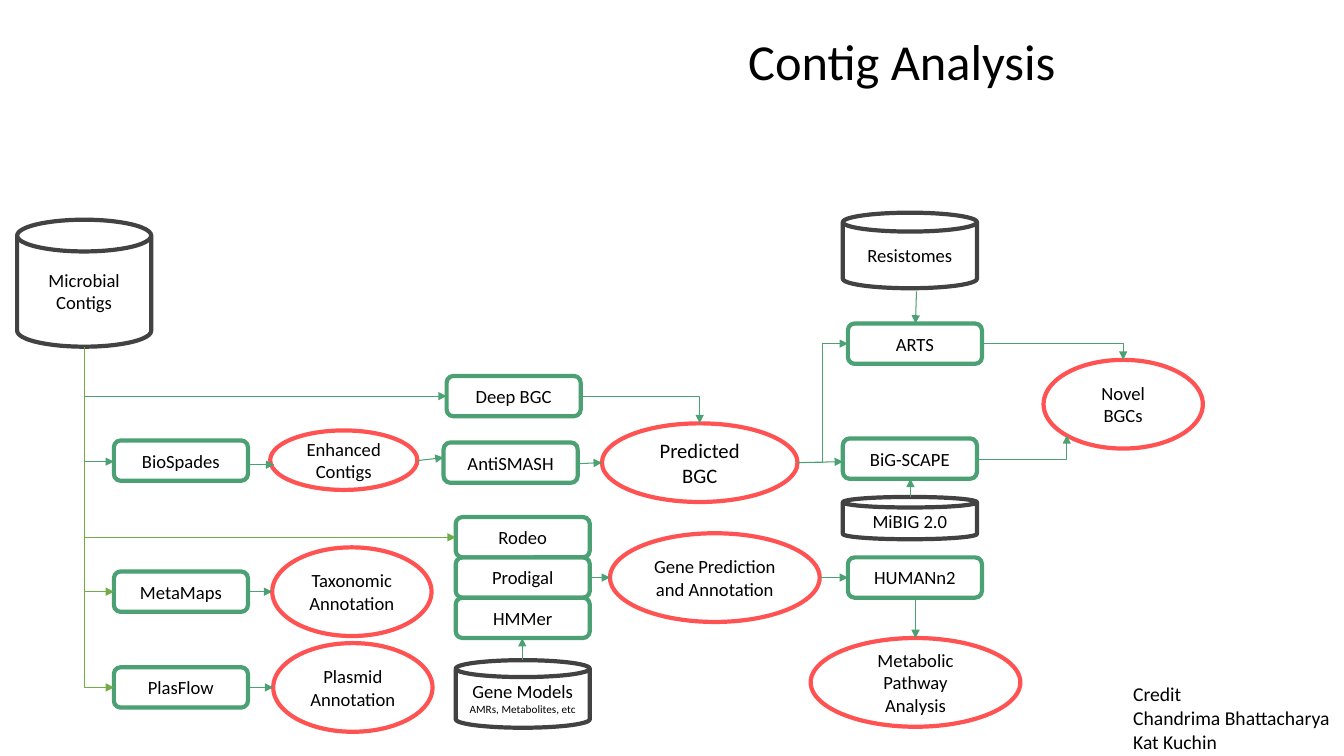
from dataclasses import dataclass

from lxml import etree
from pptx import Presentation
from pptx.dml.color import RGBColor
from pptx.enum.shapes import MSO_CONNECTOR, MSO_SHAPE
from pptx.enum.text import MSO_ANCHOR, MSO_AUTO_SIZE, PP_ALIGN
from pptx.oxml.ns import qn
from pptx.util import Pt

PX = 9144
CAN, ELLIPSE, ROUND = MSO_SHAPE.CAN, MSO_SHAPE.OVAL, MSO_SHAPE.ROUNDED_RECTANGLE
STRAIGHT, ELBOW = MSO_CONNECTOR.STRAIGHT, MSO_CONNECTOR.ELBOW
TOP, MIDDLE = MSO_ANCHOR.TOP, MSO_ANCHOR.MIDDLE
LEFT, CENTER = PP_ALIGN.LEFT, PP_ALIGN.CENTER
NO_FIT = MSO_AUTO_SIZE.NONE


@dataclass(frozen=True)
class Theme:
    font: str = "Calibri"
    text: str = "000000"
    data: str = "424242"
    tool: str = "4BA173"
    result: str = "FF5252"
    trunk: str = "70AD47"
    title: float = 36
    credit: float = 14
    large: float = 14.7
    label: float = 13.3
    note: float = 8
    outline: float = 3
    arrow: float = 0.75
    thin: float = 0.5


TOOL_W, TOOL_H, INSET = 133, 40, 13

TOOLS = [
    ("BioSpades", 113, 437),
    ("MetaMaps", 113, 567),
    ("PlasFlow", 113, 662),
    ("Deep BGC", 443, 373),
    ("AntiSMASH", 440, 439),
    ("ARTS", 841, 321),
    ("BiG-SCAPE", 836, 435),
    ("HUMANn2", 841, 553),
]
GENE_TOOLS = ["Rodeo", "Prodigal", "HMMer"]

DATA = [
    ("Microbial Contigs", 17, 218, 126),
    ("Gene Models\nAMRs, Metabolites, etc", 452, 655, 67),
    ("Resistomes", 836, 211, 75),
    ("MiBIG 2.0", 836, 493, 42),
]

RESULTS = [
    ("Enhanced Contigs", 268, 427, 146, 59),
    ("Taxonomic Annotation", 270, 543, 158, 88),
    ("Plasmid Annotation", 271, 638, 158, 88),
    ("Gene Prediction and Annotation", 605, 529, 208, 88),
    ("Metabolic Pathway Analysis", 804, 633, 208, 88),
    ("Novel\nBGCs", 1035, 357, 158, 88),
]

ARROWS = [
    (84, 458, 113, 458),
    (244, 461, 272, 461),
    (414, 457, 440, 454),
    (573, 460, 597, 459),
    (791, 459, 836, 458),
    (84, 393, 443, 393),
    (246, 587, 270, 587),
    (246, 682, 271, 682),
    (518, 655, 518, 633),
    (585, 573, 605, 573),
    (813, 573, 841, 573),
    (908, 593, 908, 633),
    (909, 289, 908, 321),
    (903, 493, 903, 475),
]
CORNERS = [
    (576, 393, 694, 420),
    (967, 456, 1058, 432),
    (975, 341, 1114, 357),
]
TRUNK_X, TRUNK_Y = 84, 344
BRANCHES = [(113, 587), (113, 682), (452, 533)]


class Board:
    def __init__(self, prs, theme):
        self.theme = theme
        self.slide = prs.slides.add_slide(prs.slide_layouts[5])

    def place(self, sp, x, y, w, h):
        sp.left, sp.top, sp.width, sp.height = [v * PX for v in (x, y, w, h)]

    def fill_text(self, sp, text, size, align=LEFT, anchor=TOP):
        tf = sp.text_frame
        tf.text = text
        tf.word_wrap = True
        tf.auto_size = NO_FIT
        tf.vertical_anchor = anchor
        for p in tf.paragraphs:
            p.alignment = align
            p.font.name = self.theme.font
            p.font.size = Pt(size)
            p.font.color.rgb = RGBColor.from_string(self.theme.text)
        return tf

    def title(self, text, x, y, w, h):
        sp = self.slide.shapes.title
        self.place(sp, x, y, w, h)
        self.fill_text(sp, text, self.theme.title)

    def text(self, text, x, y, w, h):
        sp = self.slide.shapes.add_textbox(x * PX, y * PX, w * PX, h * PX)
        self.fill_text(sp, text, self.theme.credit)

    def node(self, kind, color, text, x, y, w, h, size=None):
        sp = self.slide.shapes.add_shape(kind, x * PX, y * PX, w * PX, h * PX)
        sp.shadow.inherit = False
        sp.fill.background()
        sp.line.color.rgb = RGBColor.from_string(color)
        sp.line.width = Pt(self.theme.outline)
        tf = self.fill_text(sp, text, size or self.theme.label, CENTER, MIDDLE)
        tf.margin_left = tf.margin_right = INSET * PX
        tf.margin_top = tf.margin_bottom = INSET * PX
        return tf

    def tool(self, text, x, y):
        self.node(ROUND, self.theme.tool, text, x, y, TOOL_W, TOOL_H)

    def data(self, text, x, y, h):
        tf = self.node(CAN, self.theme.data, text, x, y, TOOL_W, h)
        for p in tf.paragraphs[1:]:
            p.font.size = Pt(self.theme.note)

    def result(self, text, x, y, w, h, size=None):
        self.node(ELLIPSE, self.theme.result, text, x, y, w, h, size)

    def arrow(self, x1, y1, x2, y2, kind=STRAIGHT, color=None, width=None):
        ends = [round(v * PX) for v in (x1, y1, x2, y2)]
        c = self.slide.shapes.add_connector(kind, *ends)
        c.line.color.rgb = RGBColor.from_string(color or self.theme.tool)
        c.line.width = Pt(width or self.theme.arrow)
        pr = c._element.spPr
        etree.SubElement(pr.find(qn("a:ln")), qn("a:tailEnd"), type="triangle")
        etree.SubElement(pr, qn("a:effectLst"))
        return pr

    def corner(self, x1, y1, x2, y2, **style):
        pr = self.arrow(x1, y1, x2, y2, ELBOW, **style)
        pr.find(qn("a:prstGeom")).set("prst", "bentConnector2")
        return pr

    def branch(self, x1, y1, x2, y2):
        cx, cy = (x1 + x2) / 2, (y1 + y2) / 2
        dx, dy = (x2 - x1) / 2, (y2 - y1) / 2
        pr = self.corner(cx - dy, cy - dx, cx + dy, cy + dx,
                         color=self.theme.trunk, width=self.theme.thin)
        xfrm = pr.find(qn("a:xfrm"))
        xfrm.set("rot", str(270 * 60000))
        xfrm.set("flipH", "1")


def main():
    prs = Presentation()
    prs.slide_width, prs.slide_height = 1333 * PX, 750 * PX
    theme = Theme()
    board = Board(prs, theme)
    board.title("Contig Analysis", 732, 25, 560, 71)
    for item in DATA:
        board.data(*item)
    for item in TOOLS:
        board.tool(*item)
    for i, name in enumerate(GENE_TOOLS):
        board.tool(name, 452, 513 + i * TOOL_H)
    for item in RESULTS:
        board.result(*item)
    board.result("Predicted BGC", 597, 420, 194, 78, theme.large)
    for ends in ARROWS:
        board.arrow(*ends)
    for ends in CORNERS:
        board.corner(*ends)
    board.arrow(791, 459, 841, 341, ELBOW)
    for x, y in BRANCHES:
        board.branch(TRUNK_X, TRUNK_Y, x, y)
    board.text("Credit\nChandrima Bhattacharya\nKat Kuchin", 1114, 672, 261, 81)
    prs.save("out.pptx")


if __name__ == "__main__":
    main()
